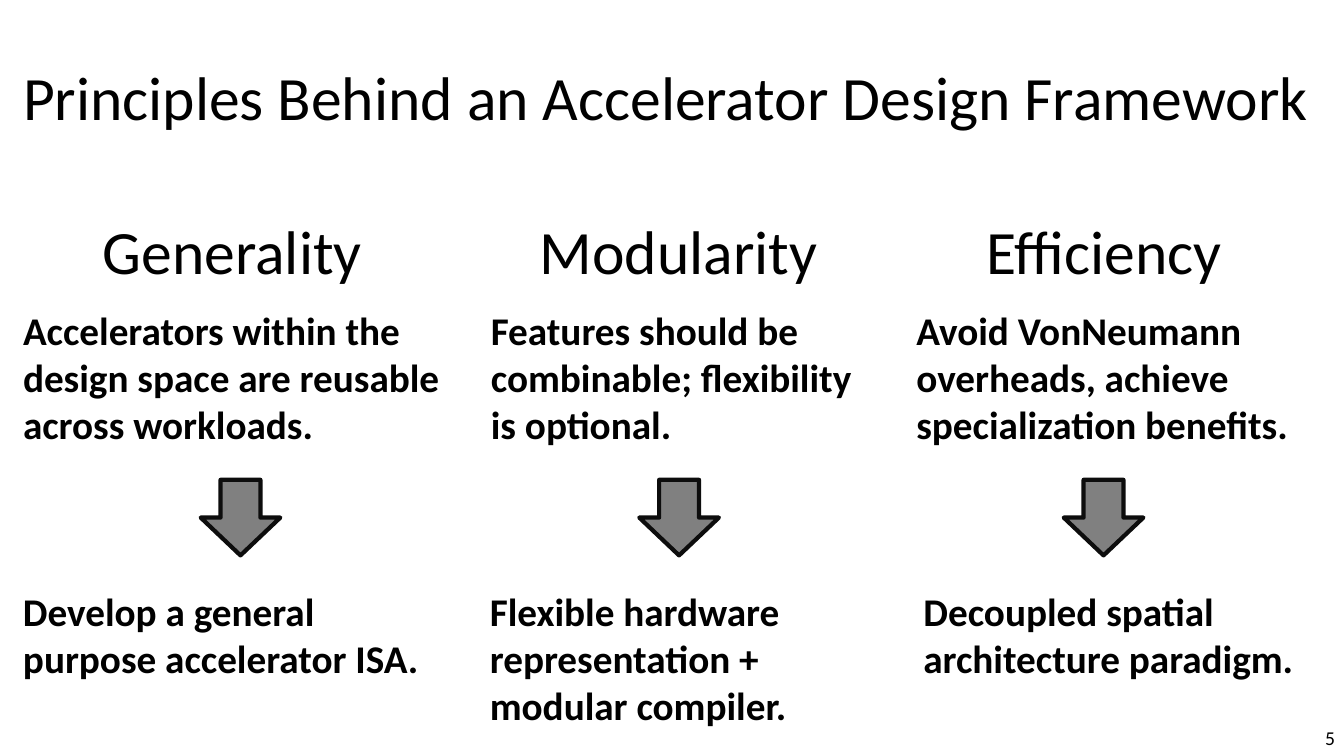
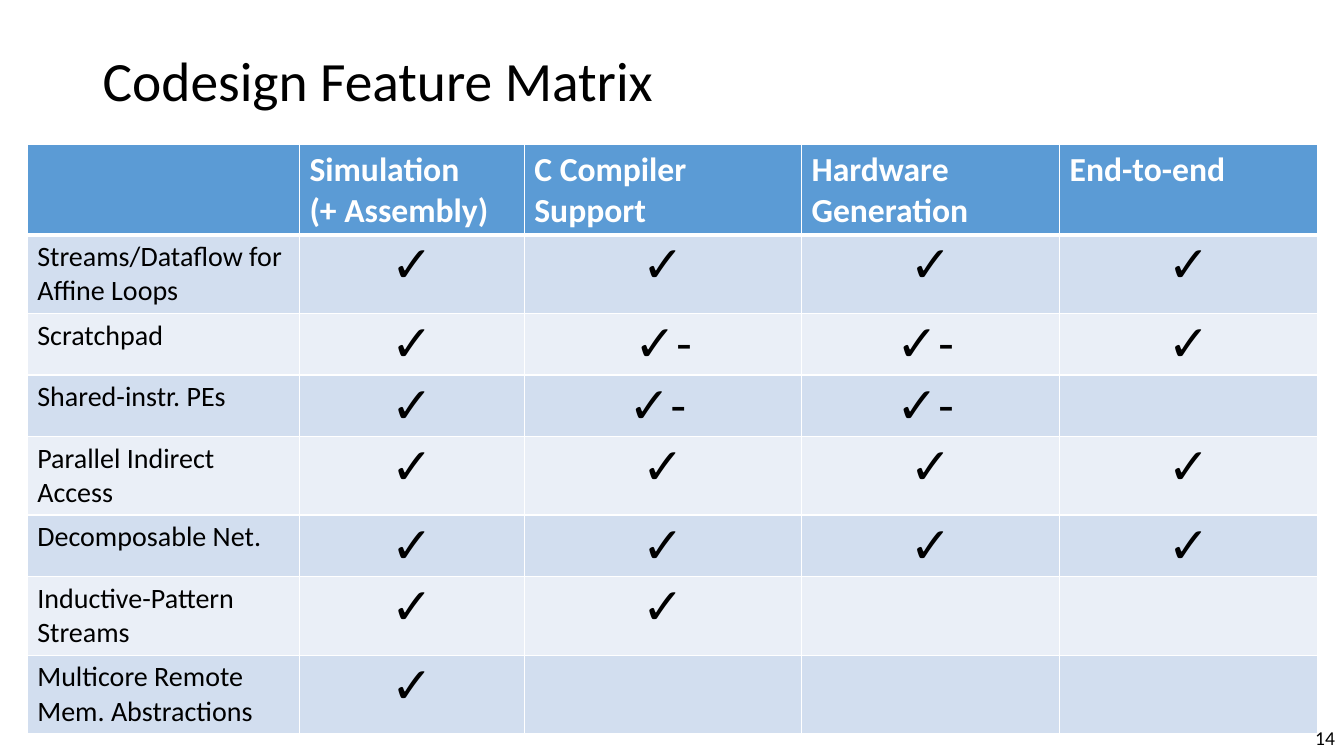
from lxml import etree
from pptx import Presentation
from pptx.dml.color import RGBColor
from pptx.enum.shapes import MSO_SHAPE
from pptx.enum.text import MSO_ANCHOR, PP_ALIGN
from pptx.oxml.ns import qn
from pptx.util import Inches, Pt

LEFT, CENTER, RIGHT = PP_ALIGN.LEFT, PP_ALIGN.CENTER, PP_ALIGN.RIGHT
TOP, MIDDLE = MSO_ANCHOR.TOP, MSO_ANCHOR.MIDDLE
ARROW = MSO_SHAPE.DOWN_ARROW

FONT = "Calibri"
BLACK, WHITE = "000000", "FFFFFF"
GREY, EDGE = "808080", "0D0D0D"
BLUE, BANDS = "5B9BD5", ("D2DEEF", "EAEFF7")

# heading, principle, result, column (left, width), result (left, width)
PILLARS = [
    ("Generality",
     "Accelerators within the design space are reusable across workloads.",
     "Develop a general purpose accelerator ISA.",
     (0.13, 4.35), (0.13, 4.26), 1.99),
    ("Modularity",
     "Features should be combinable; flexibility is optional.",
     "Flexible hardware representation +\vmodular compiler.",
     (4.77, 3.92), (4.76, 3.92), 6.34),
    ("Efficiency",
     "Avoid VonNeumann overheads, achieve specialization benefits.",
     "Decoupled spatial architecture paradigm.",
     (8.99, 3.92), (9.06, 3.92), 10.55),
]

COLS = (2.7, 2.23, 2.75, 2.56, 2.56)
ROWS = (0.9, 0.78, 0.61, 0.61, 0.78, 0.61, 0.78, 0.78)
MATRIX = [
    ("", "Simulation\n(+ Assembly)", "C Compiler Support",
     "Hardware Generation", "End-to-end"),
    ("Streams/Dataflow for Affine Loops", "✓", "✓", "✓", "✓"),
    ("Scratchpad", "✓", "✓-", "✓- ", "✓"),
    ("Shared-instr. PEs", "✓", "✓- ", "✓- ", ""),
    ("Parallel Indirect Access", "✓", "✓", "✓", "✓"),
    ("Decomposable Net.", "✓", "✓", "✓", "✓"),
    ("Inductive-Pattern Streams", "✓", "✓", "", ""),
    ("Multicore Remote Mem. Abstractions", "✓", "", "", ""),
]


def rgb(code):
    return RGBColor.from_string(code)


def write(frame, text, size, color=BLACK, bold=False, align=LEFT):
    frame.text = text
    for para in frame.paragraphs:
        para.alignment = align
        for run in para.runs:
            font = run.font
            font.name, font.size, font.bold = FONT, Pt(size), bold
            font.color.rgb = rgb(color)


def label(slide, box, text, size, bold=False, align=LEFT, anchor=TOP):
    frame = slide.shapes.add_textbox(*map(Inches, box)).text_frame
    frame.word_wrap = True
    frame.vertical_anchor = anchor
    write(frame, text, size, bold=bold, align=align)
    return frame


def start(deck, title, box, size, number):
    """Add a slide with its title and page number."""
    slide = deck.slides.add_slide(deck.slide_layouts[6])
    label(slide, (12.64, 7.15, 0.7, 0.34), number, 14, align=RIGHT)
    frame = label(slide, box, title, size, anchor=MIDDLE)
    frame.paragraphs[0].line_spacing = 0.9
    return slide


def pillar(slide, top, head, reason, result, column, end, arrow):
    """Stack heading, principle, arrow and result below top."""
    left, width = column
    label(slide, (left, top, width, 0.84), head, 44, align=CENTER)
    label(slide, (left, top + 0.93, width, 1.51), reason, 28, bold=True)
    shape = slide.shapes.add_shape(
        ARROW, *map(Inches, (arrow, top + 2.7, 0.79, 0.75)))
    shape.shadow.inherit = False
    shape.fill.solid()
    shape.fill.fore_color.rgb = rgb(GREY)
    shape.line.color.rgb = rgb(EDGE)
    shape.line.width = Pt(3)
    label(slide, (end[0], top + 3.72, end[1], 1.51), result, 28, bold=True)


def paint(cell, fill, base):
    """Fill a cell and rule it in white, with its own lower line width."""
    props = cell._tc.get_or_add_tcPr()
    for side, width in (("L", 1), ("R", 1), ("T", 1), ("B", base)):
        line = etree.SubElement(props, qn(f"a:ln{side}"), w=str(Pt(width)))
        solid = etree.SubElement(line, qn("a:solidFill"))
        etree.SubElement(solid, qn("a:srgbClr"), val=WHITE)
    cell.fill.solid()
    cell.fill.fore_color.rgb = rgb(fill)


def matrix(slide, left, top):
    box = map(Inches, (left, top, sum(COLS), sum(ROWS)))
    table = slide.shapes.add_table(len(ROWS), len(COLS), *box).table
    for col, width in zip(table.columns, COLS):
        col.width = Inches(width)
    for r, (row, height) in enumerate(zip(MATRIX, ROWS)):
        table.rows[r].height = Inches(height)
        for c, text in enumerate(row):
            cell = table.cell(r, c)
            if r == 0:
                write(cell.text_frame, text, 24, WHITE, bold=True)
                paint(cell, BLUE, 3)
                continue
            if c == 0:
                write(cell.text_frame, text, 20)
            else:
                write(cell.text_frame, text, 36, align=CENTER)
                cell.margin_top = cell.margin_bottom = 0
            paint(cell, BANDS[(r - 1) % 2], 1)


def main():
    deck = Presentation()
    deck.slide_width, deck.slide_height = Inches(13.33), Inches(7.5)

    slide = start(deck, "Principles Behind an Accelerator Design Framework",
                  (0.13, 0.27, 13.02, 1.45), 44, "5")
    for item in PILLARS:
        pillar(slide, 2.06, *item)

    slide = start(deck, "Codesign Feature Matrix",
                  (0.92, 0.47, 11.5, 0.72), 39.6, "14")
    matrix(slide, 0.27, 1.43)

    deck.save("out.pptx")


if __name__ == "__main__":
    main()
